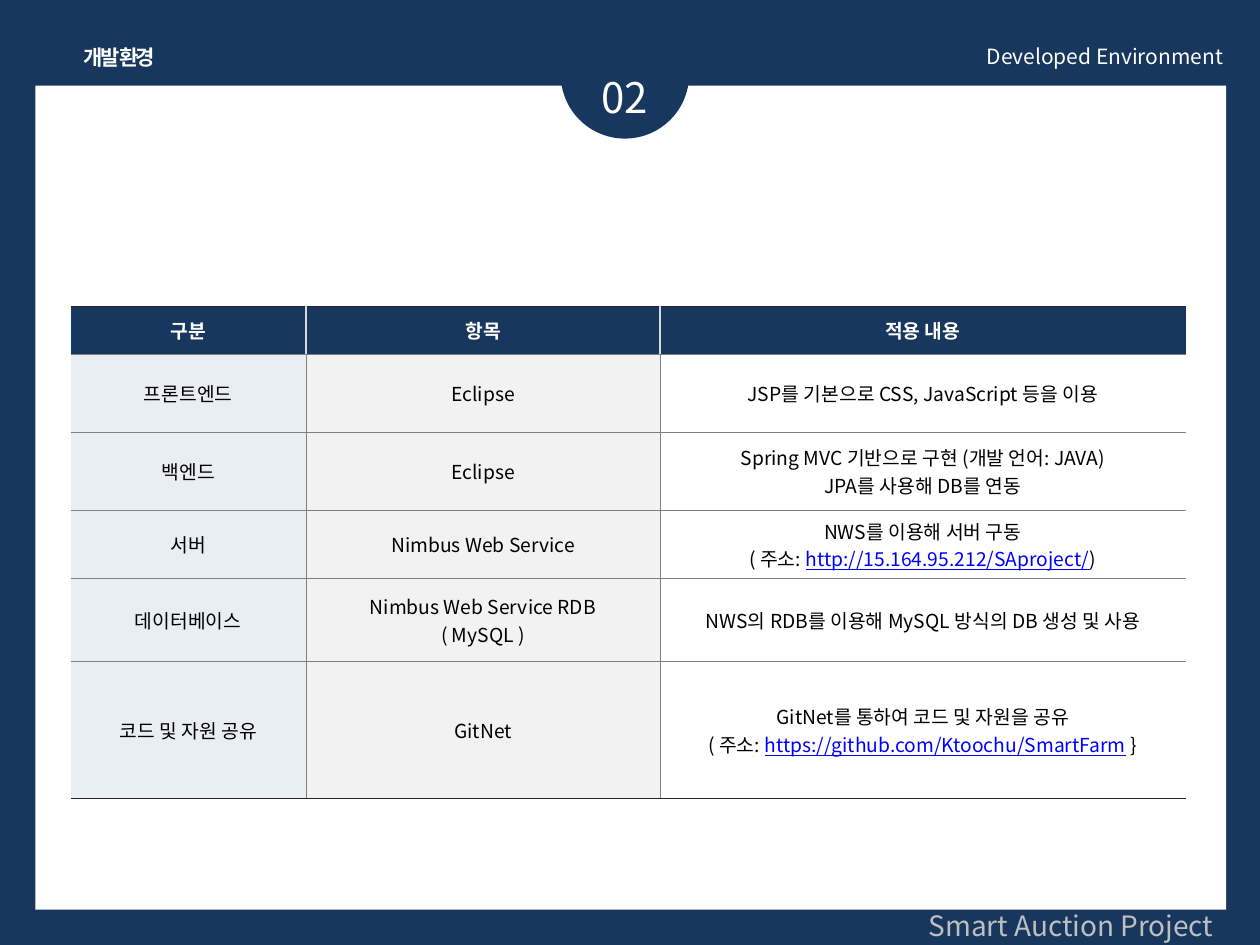
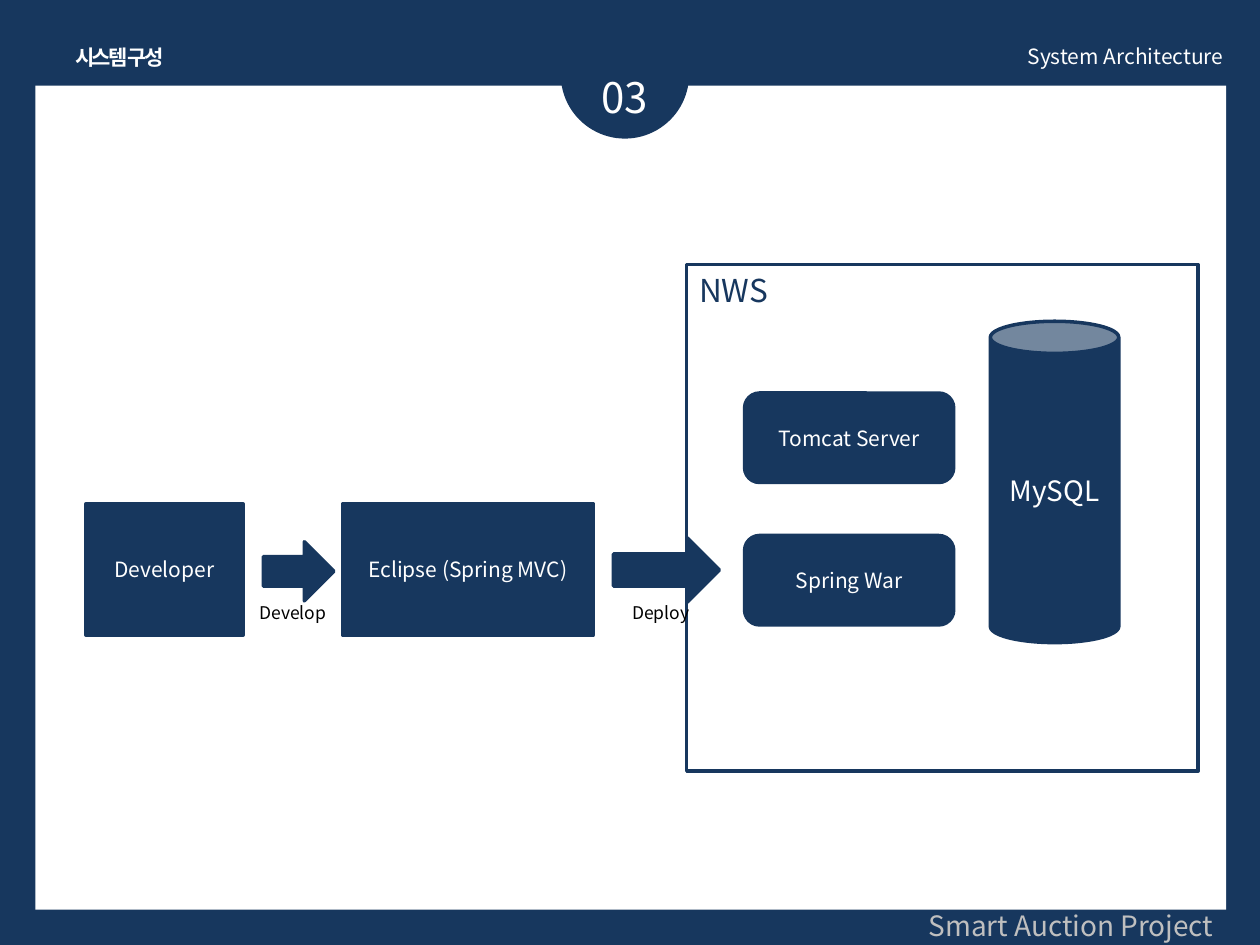
from dataclasses import dataclass

import lxml.etree
import pptx
import pptx.dml.color
import pptx.enum.shapes
import pptx.enum.text
import pptx.oxml.ns
import pptx.slide
import pptx.table
import pptx.text.text
import pptx.util

Pt = pptx.util.Pt
Kind = pptx.enum.shapes.MSO_SHAPE
Align = pptx.enum.text.PP_ALIGN
Anchor = pptx.enum.text.MSO_ANCHOR
Fit = pptx.enum.text.MSO_AUTO_SIZE

FONT = "Noto Sans CJK KR"
NAVY, WHITE, BLACK = "17375E", "FFFFFF", "000000"
SILVER, LINK = "BFBFBF", "0000FF"
DARK, GREY, PALE = "262626", "808080", "D9D9D9"
FILLS = ("E9EDF4", "F2F2F2", WHITE)

WIDTHS = (134.6, 202.3, 300.3)
HEIGHTS = (27.4, 44.6, 44.6, 38.9, 47.4, 78.4)
ROWS = (
    ("구분", "항목", "적용 내용"),
    ("프론트엔드", "Eclipse", "JSP를 기본으로 CSS, JavaScript 등을 이용"),
    ("백엔드", "Eclipse",
     "Spring MVC 기반으로 구현 (개발 언어: JAVA)\nJPA를 사용해 DB를 연동"),
    ("서버", "Nimbus Web Service",
     "NWS를 이용해 서버 구동\n( 주소: |http://15.164.95.212/SAproject/|)"),
    ("데이터베이스", "Nimbus Web Service RDB\n( MySQL )",
     "NWS의 RDB를 이용해 MySQL 방식의 DB 생성 및 사용"),
    ("코드 및 자원 공유", "GitNet",
     "GitNet를 통하여 코드 및 자원을 공유\n"
     "( 주소: |https://github.com/Ktoochu/SmartFarm| }"),
)


@dataclass(frozen=True)
class Box:
    left: float
    top: float
    width: float
    height: float

    def lengths(self) -> tuple:
        return tuple(Pt(v) for v in (self.left, self.top, self.width, self.height))


@dataclass(frozen=True)
class Style:
    size: float
    color: str = WHITE
    align: Align = Align.CENTER
    bold: bool = False
    track: int = 0


@dataclass(frozen=True)
class Node:
    kind: Kind
    box: Box
    text: str = ""
    style: Style = Style(12)
    fill: str = NAVY
    line: str = NAVY
    anchor: Anchor = Anchor.MIDDLE


@dataclass(frozen=True)
class Label:
    box: Box
    text: str
    style: Style


FRAME = (
    Node(Kind.RECTANGLE, Box(20.2, 49, 680.4, 470.9), fill=WHITE, line=""),
    Node(Kind.OVAL, Box(320.4, 5.8, 73.4, 73.4), line=""),
)
NOTE = Style(10, BLACK, Align.LEFT)
STEP_TOP, STEP_HIGH = 288, 74.9
APP = (425.5, 119.5, 51.1)
NODES = (
    Node(Kind.RECTANGLE, Box(392.4, 151.2, 292.3, 289.4), "NWS",
         Style(18, NAVY, Align.LEFT), "", anchor=Anchor.TOP),
    Node(Kind.CAN, Box(565.9, 183.6, 73.4, 183.6), "MySQL", Style(16)),
    Node(Kind.ROUNDED_RECTANGLE, Box(APP[0], 224.6, *APP[1:]), "Tomcat Server"),
    Node(Kind.ROUNDED_RECTANGLE, Box(APP[0], 306, *APP[1:]), "Spring War"),
    Node(Kind.RIGHT_ARROW, Box(350.6, 307.4, 60.5, 36.7)),
    Node(Kind.RIGHT_ARROW, Box(150.5, 309.6, 40.3, 33.8)),
    Node(Kind.RECTANGLE, Box(195.8, STEP_TOP, 143.3, STEP_HIGH), "Eclipse (Spring MVC)"),
    Node(Kind.RECTANGLE, Box(49, STEP_TOP, 90, STEP_HIGH), "Developer"),
)
NOTES = (
    Label(Box(141.1, 340.6, 64.1, 29.5), "Develop", NOTE),
    Label(Box(354.2, 340.6, 64.1, 29.5), "Deploy", NOTE),
)


def paint(target, color: str) -> None:
    if color:
        target.solid()
        target.fore_color.rgb = pptx.dml.color.RGBColor.from_string(color)
    else:
        target.background()


def write(frame: pptx.text.text.TextFrame, text: str, style: Style) -> None:
    for i, line in enumerate(text.split("\n")):
        para = frame.paragraphs[0] if i == 0 else frame.add_paragraph()
        para.alignment = style.align
        for part in line.split("|"):
            run = para.add_run()
            run.text = part
            link = part.startswith("http")
            font = run.font
            font.size, font.bold, font.name = Pt(style.size), style.bold, FONT
            font.underline = link
            paint(font.fill, LINK if link else style.color)
            props = run._r.get_or_add_rPr()
            east = lxml.etree.SubElement(props, pptx.oxml.ns.qn("a:ea"))
            east.set("typeface", FONT)
            if style.track:
                props.set("spc", str(style.track))


def draw(slide: pptx.slide.Slide, node: Node) -> None:
    shape = slide.shapes.add_shape(node.kind, *node.box.lengths())
    shape.shadow.inherit = False
    paint(shape.fill, node.fill)
    paint(shape.line.fill, node.line)
    if node.line:
        shape.line.width = Pt(2)
    if node.text:
        shape.text_frame.vertical_anchor = node.anchor
        write(shape.text_frame, node.text, node.style)


def label(slide: pptx.slide.Slide, item: Label) -> None:
    frame = slide.shapes.add_textbox(*item.box.lengths()).text_frame
    frame.word_wrap = True
    frame.auto_size = Fit.SHAPE_TO_FIT_TEXT
    write(frame, item.text, item.style)


def start(deck, name: str, width: float, number: str, topic: str) -> pptx.slide.Slide:
    slide = deck.slides.add_slide(deck.slide_layouts[5])
    paint(slide.background.fill, NAVY)
    title = slide.shapes.title
    box = Box(68.2 - width / 2, 21.6, width, 21.6)
    title.left, title.top, title.width, title.height = box.lengths()
    frame = title.text_frame
    frame.word_wrap = False
    frame.auto_size = Fit.SHAPE_TO_FIT_TEXT
    frame.vertical_anchor = Anchor.TOP
    write(frame, name, Style(12, bold=True, track=-150))
    for node in FRAME:
        draw(slide, node)
    for item in (
        Label(Box(314.6, 37.4, 85, 36), number, Style(24)),
        Label(Box(501.8, 515.5, 198.7, 26.6), "Smart Auction Project",
              Style(16, SILVER, Align.RIGHT)),
        Label(Box(422.6, 21.6, 283.7, 21.6), topic, Style(12, align=Align.RIGHT)),
    ):
        label(slide, item)
    return slide


def edge(cell: pptx.table._Cell, row: int, col: int) -> None:
    side = (PALE, 1) if row == 0 else (GREY, 0.5)
    rules = (
        ("L", side if col else None),
        ("R", side if col < len(WIDTHS) - 1 else None),
        ("T", (GREY, 0.5) if row else (DARK, 1)),
        ("B", (GREY, 0.5) if row < len(ROWS) - 1 else (DARK, 1)),
    )
    qn = pptx.oxml.ns.qn
    props = cell._tc.get_or_add_tcPr()
    for i, (name, rule) in enumerate(rules):
        line = lxml.etree.Element(qn("a:ln" + name))
        if rule:
            line.set("w", str(int(Pt(rule[1]))))
            fill = lxml.etree.SubElement(line, qn("a:solidFill"))
            lxml.etree.SubElement(fill, qn("a:srgbClr")).set("val", rule[0])
        else:
            lxml.etree.SubElement(line, qn("a:noFill"))
        props.insert(i, line)


def grid(slide: pptx.slide.Slide) -> None:
    box = Box(40.3, 175, sum(WIDTHS), sum(HEIGHTS))
    table = slide.shapes.add_table(len(ROWS), len(WIDTHS), *box.lengths()).table
    table.first_row = table.horz_banding = False
    for col, width in zip(table.columns, WIDTHS):
        col.width = Pt(width)
    for row, height in zip(table.rows, HEIGHTS):
        row.height = Pt(height)
    for r, texts in enumerate(ROWS):
        for c, text in enumerate(texts):
            cell = table.cell(r, c)
            cell.vertical_anchor = Anchor.MIDDLE
            paint(cell.fill, FILLS[c] if r else NAVY)
            write(cell.text_frame, text, Style(11, BLACK) if r else Style(11, bold=True))
            edge(cell, r, c)


def main() -> None:
    deck = pptx.Presentation()
    deck.slide_width, deck.slide_height = Pt(720), Pt(540)
    grid(start(deck, "개발 환경", 60, "02", "Developed Environment"))
    system = start(deck, "시스템 구성", 70.6, "03", "System Architecture")
    for node in NODES:
        draw(system, node)
    for item in NOTES:
        label(system, item)
    deck.save("out.pptx")


if __name__ == "__main__":
    main()
